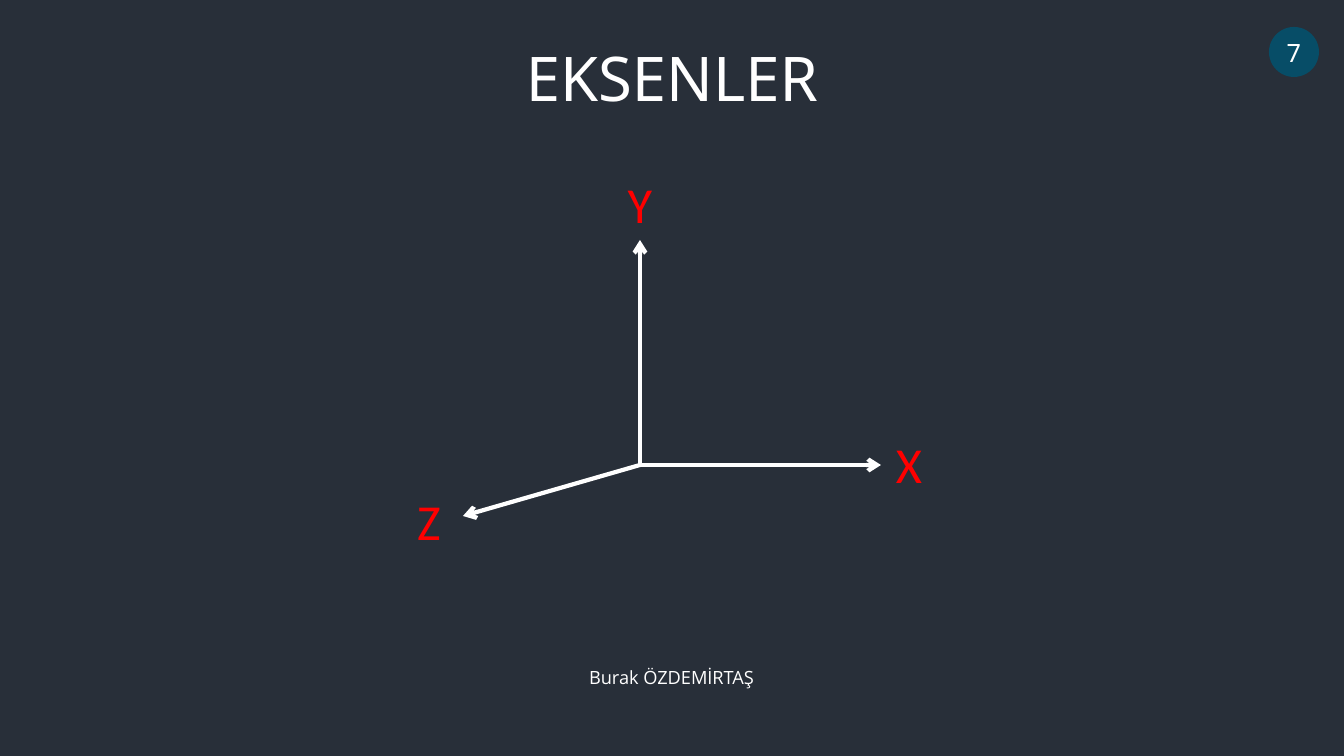
import dataclasses

import lxml.etree
import pptx
import pptx.dml.color
import pptx.enum.shapes
import pptx.enum.text
import pptx.oxml.ns
import pptx.shapes.autoshape
import pptx.shapes.shapetree
import pptx.slide
import pptx.util

SCALE = 914400 / 100.8
NIGHT = pptx.dml.color.RGBColor(0x28, 0x2F, 0x39)
TEAL = pptx.dml.color.RGBColor(0x07, 0x4D, 0x67)
WHITE = pptx.dml.color.RGBColor(0xFF, 0xFF, 0xFF)
RED = pptx.dml.color.RGBColor(0xFF, 0x00, 0x00)
ORIGIN = (640, 465)
LABEL = 72


@dataclasses.dataclass(frozen=True)
class Axis:
    name: str
    tip: tuple[int, int]
    label: tuple[int, int]


AXES = [
    Axis("X", (881, 465), (873, 428)),
    Axis("Y", (640, 240), (604, 168)),
    Axis("Z", (463, 516), (393, 485)),
]


def px(size: int) -> pptx.util.Emu:
    return pptx.util.Emu(round(size * SCALE))


def write(shape: pptx.shapes.autoshape.Shape, text: str, *, font: str,
          size: int, color: pptx.dml.color.RGBColor = WHITE,
          middle: bool = False, wrap: bool = True) -> None:
    frame = shape.text_frame
    frame.word_wrap = wrap
    anchor = pptx.enum.text.MSO_ANCHOR
    frame.vertical_anchor = anchor.MIDDLE if middle else anchor.TOP
    line = frame.paragraphs[0]
    line.alignment = pptx.enum.text.PP_ALIGN.CENTER
    run = line.add_run()
    run.text = text
    run.font.name = font
    run.font.size = pptx.util.Pt(size)
    run.font.color.rgb = color


def add_box(slide: pptx.slide.Slide, left: int, top: int, width: int,
            height: int) -> pptx.shapes.autoshape.Shape:
    return slide.shapes.add_textbox(px(left), px(top), px(width), px(height))


def add_badge(slide: pptx.slide.Slide, text: str) -> None:
    badge = slide.shapes.add_shape(
        pptx.enum.shapes.MSO_SHAPE.OVAL, px(1269), px(27), px(50), px(50))
    badge.shadow.inherit = False
    badge.fill.solid()
    badge.fill.fore_color.rgb = TEAL
    badge.line.fill.background()
    write(badge, text, font="Noto Sans", size=18, middle=True, wrap=False)


def add_arrow(shapes: pptx.shapes.shapetree.GroupShapes, axis: Axis) -> None:
    arrow = shapes.add_connector(
        pptx.enum.shapes.MSO_CONNECTOR.STRAIGHT,
        *map(px, ORIGIN), *map(px, axis.tip))
    arrow.line.color.rgb = WHITE
    arrow.line.width = pptx.util.Pt(3)
    qn = pptx.oxml.ns.qn
    line = arrow.line._get_or_add_ln()
    lxml.etree.SubElement(line, qn("a:tailEnd"), type="arrow")
    lxml.etree.SubElement(arrow._element.spPr, qn("a:effectLst"))


def main() -> None:
    deck = pptx.Presentation()
    deck.slide_width, deck.slide_height = px(1344), px(756)
    slide = deck.slides.add_slide(deck.slide_layouts[6])
    slide.background.fill.solid()
    slide.background.fill.fore_color.rgb = NIGHT

    title = add_box(slide, 118, 34, 1108, 85)
    write(title, "EKSENLER", font="Noto Sans", size=44, middle=True)
    add_badge(slide, "7")
    author = add_box(slide, 553, 661, 237, 54)
    write(author, "Burak ÖZDEMİRTAŞ", font="Open Sans", size=13)

    group = slide.shapes.add_group_shape()
    for axis in AXES:
        add_arrow(group.shapes, axis)
    for axis in AXES:
        label = add_box(slide, *axis.label, LABEL, LABEL)
        write(label, axis.name, font="Calibri", size=36, color=RED)

    deck.save("out.pptx")


if __name__ == "__main__":
    main()
